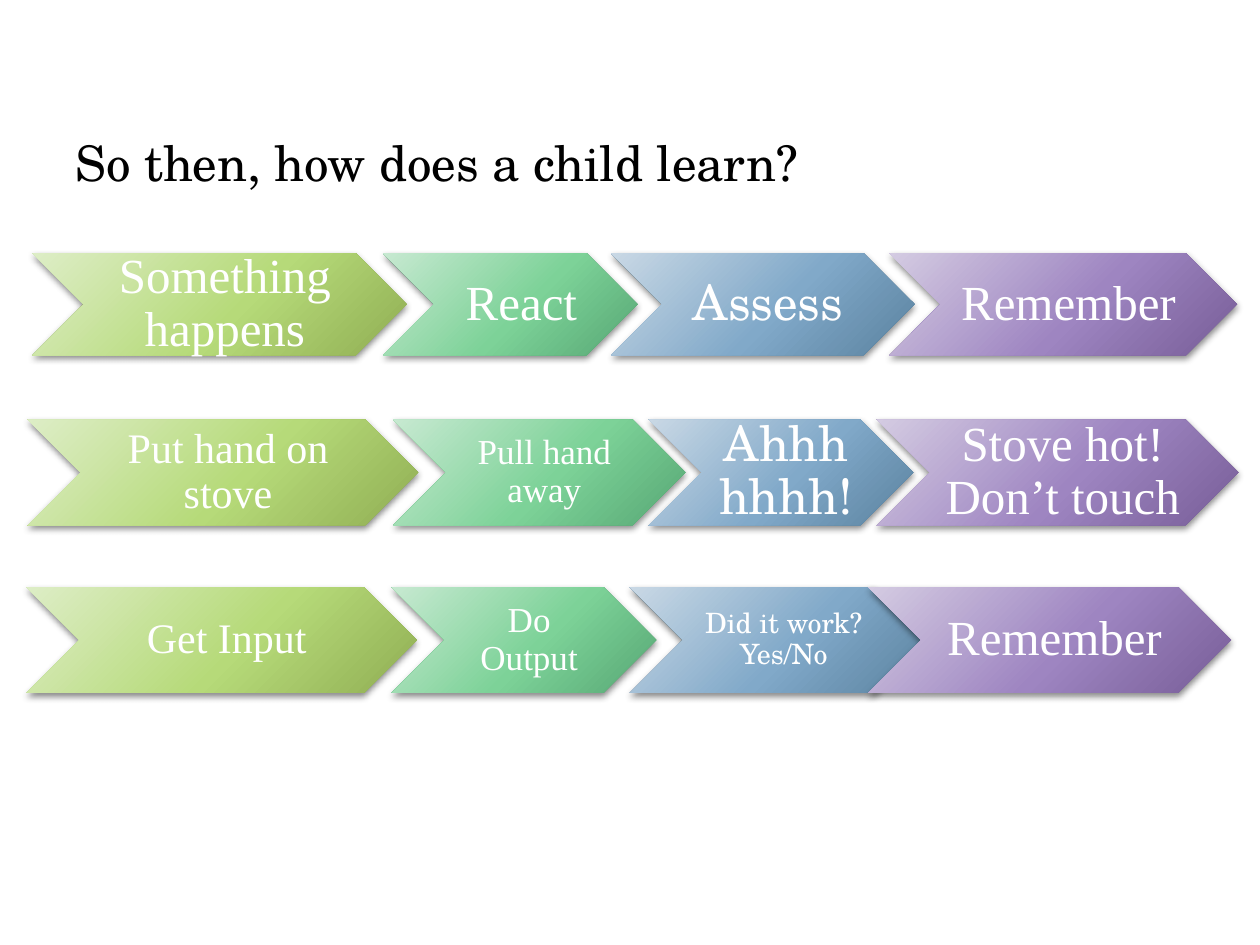
"""Build a slide of three chevron rows showing how a child learns."""
from pptx import Presentation
from pptx.dml.color import RGBColor
from pptx.enum.shapes import MSO_SHAPE
from pptx.enum.text import MSO_ANCHOR, PP_ALIGN
from pptx.oxml import parse_xml
from pptx.oxml.ns import nsdecls
from pptx.util import Inches, Pt

BLACK = RGBColor(0x00, 0x00, 0x00)
WHITE = RGBColor(0xFF, 0xFF, 0xFF)
GREEN = [RGBColor(0xDD, 0xED, 0xC6), RGBColor(0xB6, 0xDA, 0x79), RGBColor(0x90, 0xAE, 0x53)]
MINT = [RGBColor(0xC7, 0xE9, 0xD1), RGBColor(0x7D, 0xD2, 0x98), RGBColor(0x56, 0xA7, 0x74)]
BLUE = [RGBColor(0xC9, 0xD8, 0xE5), RGBColor(0x81, 0xA9, 0xC9), RGBColor(0x5A, 0x82, 0x9F)]
PURPLE = [RGBColor(0xD4, 0xCB, 0xE2), RGBColor(0x9E, 0x85, 0xC1), RGBColor(0x77, 0x5D, 0x97)]
TIMES = "Times New Roman"
SCHOLA = "TeX Gyre Schola"
COLUMNS = [(GREEN, TIMES), (MINT, TIMES), (BLUE, SCHOLA), (PURPLE, TIMES)]
ROWS = [
    (2.01, 0.81, [(0.26, 2.97, "Something happens", 28), (3.04, 2.02, " React", 28),
                  (4.85, 2.41, "Assess", 28), (7.06, 2.76, "Remember", 28)]),
    (3.33, 0.84, [(0.22, 3.1, "Put hand on stove", 24), (3.12, 2.32, "Pull hand away", 20),
                  (5.15, 2.1, "Ahhhhhhh!", 28), (6.96, 2.87, "Stove hot! Don’t touch", 28)]),
    (4.66, 0.84, [(0.21, 3.1, "Get Input", 24), (3.11, 2.1, "Do Output", 20),
                  (5, 2.36, "Did it work? Yes/No", 16), (6.89, 2.88, "Remember", 28)]),
]


def add_chevron(s, x, y, w, h, colors):
    sp = s.shapes.add_shape(MSO_SHAPE.CHEVRON, Inches(x), Inches(y), Inches(w), Inches(h))
    sp.line.fill.background()
    sp.fill.background()
    sp.shadow.inherit = False
    stops = "".join(f'<a:gs pos="{pos}"><a:srgbClr val="{c}"/></a:gs>'
                    for pos, c in zip((0, 55000, 100000), colors))
    spPr = sp.element.spPr
    spPr.replace(spPr.find("{*}noFill"), parse_xml(
        f'<a:gradFill {nsdecls("a")} rotWithShape="1"><a:gsLst>{stops}</a:gsLst>'
        '<a:path path="circle"><a:fillToRect l="-40000" t="-90000" r="140000" b="190000"/>'
        '</a:path></a:gradFill>'))
    spPr.find("{*}effectLst").append(parse_xml(
        f'<a:outerShdw {nsdecls("a")} blurRad="{Pt(4)}" dist="{Pt(2)}" dir="5400000" '
        'rotWithShape="0"><a:srgbClr val="000000"><a:alpha val="45000"/></a:srgbClr>'
        '</a:outerShdw>'))


def add_text(s, x, y, w, h, text, size, font, color):
    tf = s.shapes.add_textbox(Inches(x), Inches(y), Inches(w), Inches(h)).text_frame
    tf.word_wrap = True
    r = tf.paragraphs[0].add_run()
    r.text = text
    r.font.size = Pt(size)
    r.font.name = font
    r.font.color.rgb = color
    return tf


prs = Presentation()
prs.slide_width, prs.slide_height = Inches(10), Inches(7.5)
s = prs.slides.add_slide(prs.slide_layouts[6])

add_text(s, 0.5, 1, 9, 1, "So then, how does a child learn?", 28, SCHOLA, BLACK)

for y, h, steps in ROWS:
    for (x, w, text, size), (colors, font) in zip(steps, COLUMNS):
        add_chevron(s, x, y, w, h, colors)
        tf = add_text(s, x + h / 2, y, w - h, h, text, size, font, WHITE)
        tf.vertical_anchor = MSO_ANCHOR.MIDDLE
        tf.margin_left = Inches(0.12)
        tf.margin_top = tf.margin_right = tf.margin_bottom = Inches(0.04)
        p = tf.paragraphs[0]
        p.alignment = PP_ALIGN.CENTER
        p.line_spacing = 0.9

prs.save("out.pptx")
